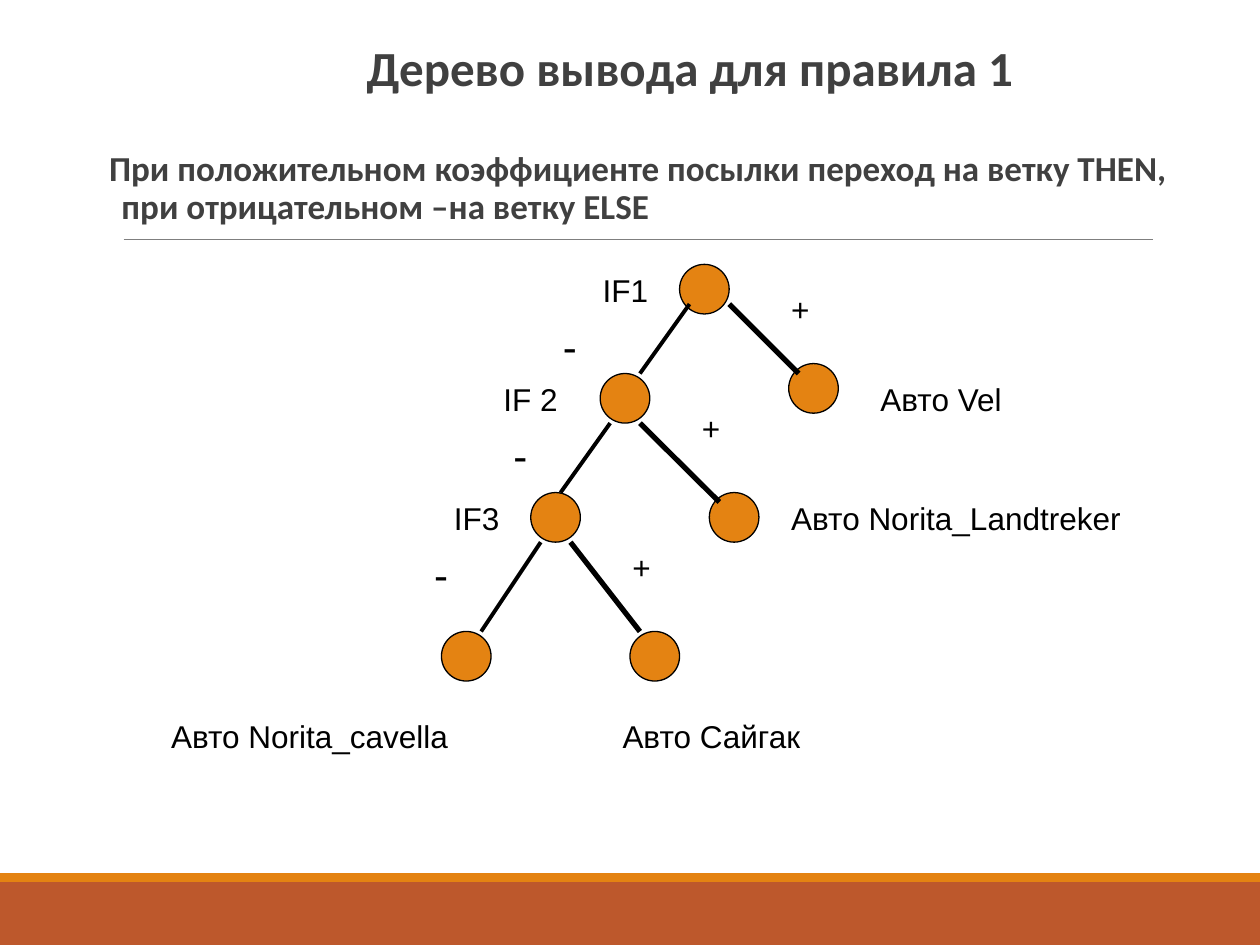
from typing import NamedTuple

from lxml import etree
from pptx import Presentation
from pptx.dml.color import RGBColor
from pptx.enum.shapes import MSO_CONNECTOR as Link, MSO_SHAPE as Kind
from pptx.enum.text import MSO_ANCHOR as Anchor, PP_ALIGN as Align
from pptx.oxml.ns import qn
from pptx.util import Cm, Pt

ORANGE, RUST, GREY, DARK, BLACK = "E48312", "BD582C", "7F7F7F", "404040", "000000"
SIZE = 1  # node diameter, cm


class Node(NamedTuple):
    x: float
    y: float


class Edge(NamedTuple):
    x1: float
    y1: float
    x2: float
    y2: float
    width: float


class Label(NamedTuple):
    text: str
    x: float
    y: float
    w: float
    h: float = 1.02
    size: float = 18
    font: str = "Arial"
    color: str = BLACK
    bold: bool = False


THEN, ELSE = 3, 2.25  # branch line widths, pt

NODES = [
    Node(13.7, 5.33), Node(12.1, 7.53), Node(10.7, 9.93), Node(8.9, 12.73),
    Node(15.9, 7.33), Node(12.7, 12.73), Node(14.3, 9.93),
]
EDGES = [
    Edge(14.7, 6.13, 16.1, 7.53, THEN),
    Edge(12.9, 8.53, 14.5, 10.12, THEN),
    Edge(11.5, 10.93, 12.9, 12.73, THEN),
    Edge(13.9, 6.13, 12.9, 7.53, ELSE),
    Edge(12.3, 8.53, 11.3, 9.93, ELSE),
    Edge(10.9, 10.93, 9.7, 12.73, ELSE),
]
LABELS = [
    Label("IF1", 11.9, 5.33, 1.6),
    Label("IF 2", 9.9, 7.53, 1.8),
    Label("IF3", 8.9, 9.93, 1.6),
    Label("Авто Norita_cavella", 3.2, 14.33, 7.3),
    Label("Авто Сайгак", 12.3, 14.33, 7.8),
    Label("Авто Norita_Landtreker", 15.7, 9.93, 8),
    Label("Авто Vel", 17.5, 7.53, 3.8),
]
PLUS = [(15.7, 5.73), (13.9, 8.13), (12.5, 10.93)]
MINUS = [(11.1, 6.33), (10.1, 8.53), (8.5, 10.93)]
LABELS += [Label("+", x, y, 1) for x, y in PLUS]
LABELS += [Label("-", x, y, 1.2, 1.27, 24) for x, y in MINUS]

TITLE = Label("Дерево вывода для правила 1", 4.75, 0, 18.31, 2.08,
              28, "Calibri", DARK, True)
NOTE = Label("При положительном коэффициенте посылки переход на ветку THEN, "
             "при отрицательном –на ветку ELSE", 2.2, 2.92, 21.51, 13.7,
             20, "Calibri", DARK, True)


def paint(target, color: str):
    """Give a fill a solid colour."""
    target.solid()
    target.fore_color.rgb = RGBColor.from_string(color)


def add_shape(slide, kind, x: float, y: float, w: float, h: float, color: str):
    shape = slide.shapes.add_shape(kind, Cm(x), Cm(y), Cm(w), Cm(h))
    shape.shadow.inherit = False
    paint(shape.fill, color)
    shape.line.fill.background()
    return shape


def add_node(slide, node: Node):
    dot = add_shape(slide, Kind.OVAL, node.x, node.y, SIZE, SIZE, ORANGE)
    paint(dot.line.fill, BLACK)
    dot.line.width = Pt(0.75)


def add_edge(slide, edge: Edge, color: str = BLACK):
    line = slide.shapes.add_connector(
        Link.STRAIGHT, Cm(edge.x1), Cm(edge.y1), Cm(edge.x2), Cm(edge.y2))
    paint(line.line.fill, color)
    line.line.width = Pt(edge.width)
    etree.SubElement(line._element.spPr, qn("a:effectLst"))


def add_label(slide, label: Label):
    box = slide.shapes.add_textbox(
        Cm(label.x), Cm(label.y), Cm(label.w), Cm(label.h))
    frame = box.text_frame
    frame.word_wrap = True
    frame.text = label.text
    font = frame.paragraphs[0].font
    font.name, font.size, font.bold = label.font, Pt(label.size), label.bold
    font.color.rgb = RGBColor.from_string(label.color)
    return frame


def add_title(slide):
    frame = add_label(slide, TITLE)
    frame.vertical_anchor = Anchor.BOTTOM
    para = frame.paragraphs[0]
    para.alignment = Align.CENTER
    para.line_spacing = 0.85


def add_note(slide):
    frame = add_label(slide, NOTE)
    frame.margin_left = frame.margin_right = 0
    para = frame.paragraphs[0]
    para.line_spacing = 0.9
    props = para._p.get_or_add_pPr()
    props.set("marL", str(Cm(0.25)))
    props.set("indent", str(-Cm(0.25)))


def main():
    deck = Presentation()
    deck.slide_width, deck.slide_height = Cm(25.4), Cm(19.05)
    slide = deck.slides.add_slide(deck.slide_layouts[6])

    add_shape(slide, Kind.RECTANGLE, 0, 17.78, 25.4, 1.27, RUST)
    add_shape(slide, Kind.RECTANGLE, 0, 17.6, 25.4, 0.18, ORANGE)
    add_edge(slide, Edge(2.49, 4.83, 23.24, 4.83, 0.5), GREY)
    add_title(slide)
    add_note(slide)
    for node in NODES:
        add_node(slide, node)
    for edge in EDGES:
        add_edge(slide, edge)
    for label in LABELS:
        add_label(slide, label)

    deck.save("out.pptx")


if __name__ == "__main__":
    main()
